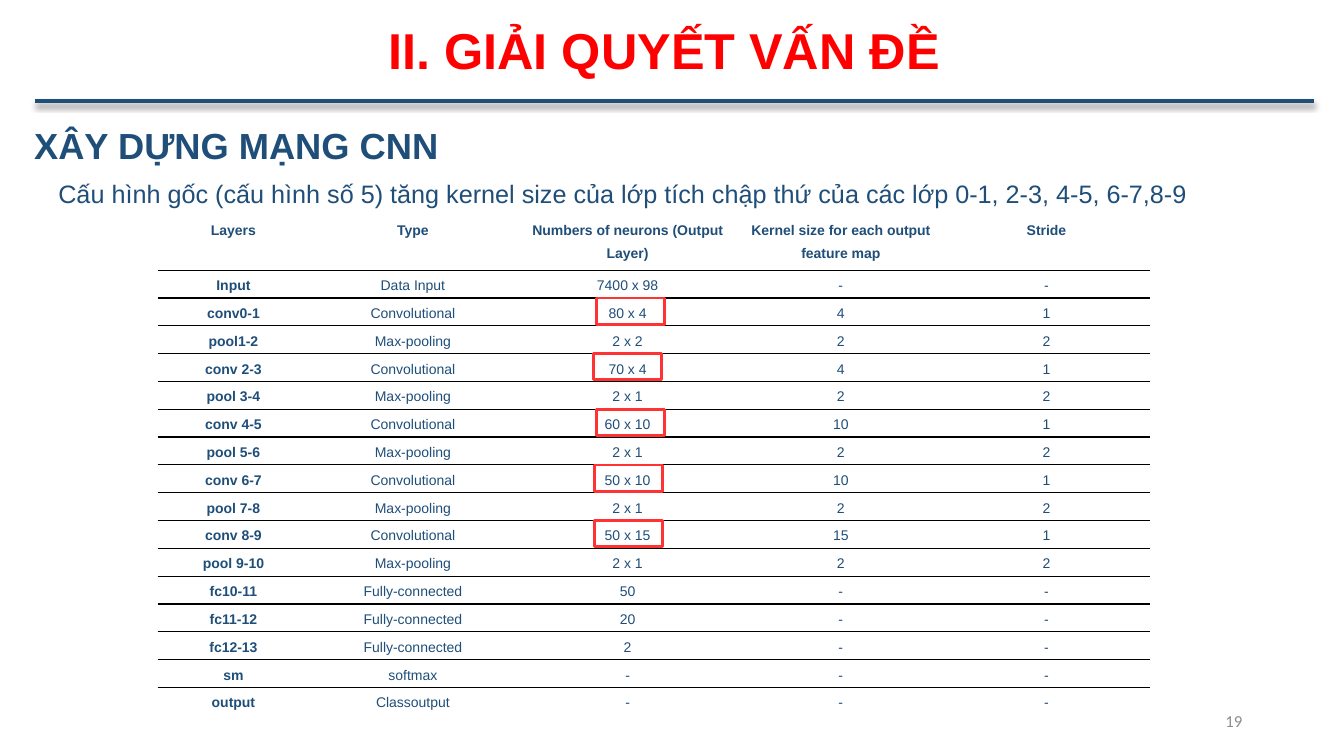
import pptx
import pptx.dml.color
import pptx.enum.shapes
import pptx.enum.text
import pptx.oxml
import pptx.oxml.ns
import pptx.util

PX = 9144
NAVY, RED, BLACK, WHITE = "1F4E79", "FF0000", "000000", "FFFFFF"
ALIGN = pptx.enum.text.PP_ALIGN
ANCHOR = pptx.enum.text.MSO_ANCHOR

COLUMN_WIDTHS = [149, 207, 219, 204, 204]
HEADER_HEIGHT = 55
LAYERS = [
    ("Layers", "Type", "Numbers of neurons (Output Layer)",
     "Kernel size for each output feature map", "Stride"),
    ("Input", "Data Input", "7400 x 98", "-", "-"),
    ("conv0-1", "Convolutional", "80 x 4", "4", "1"),
    ("pool1-2", "Max-pooling", "2 x 2", "2", "2"),
    ("conv 2-3", "Convolutional", "70 x 4", "4", "1"),
    ("pool 3-4", "Max-pooling", "2 x 1", "2", "2"),
    ("conv 4-5", "Convolutional", "60 x 10", "10", "1"),
    ("pool 5-6", "Max-pooling", "2 x 1", "2", "2"),
    ("conv 6-7", "Convolutional", "50 x 10", "10", "1"),
    ("pool 7-8", "Max-pooling", "2 x 1", "2", "2"),
    ("conv 8-9", "Convolutional", "50 x 15", "15", "1"),
    ("pool 9-10", "Max-pooling", "2 x 1", "2", "2"),
    ("fc10-11", "Fully-connected", "50", "-", "-"),
    ("fc11-12", "Fully-connected", "20", "-", "-"),
    ("fc12-13", "Fully-connected", "2", "-", "-"),
    ("sm", "softmax", "-", "-", "-"),
    ("output", "Classoutput", "-", "-", "-"),
]
HIGHLIGHT_OFFSETS = {2: 435, 4: 432, 6: 435, 8: 433, 10: 433}


def px(length):
    """Turn px into EMU."""
    return pptx.util.Emu(round(length * PX))


def color(hex_code):
    """Turn a hex string into a colour."""
    return pptx.dml.color.RGBColor.from_string(hex_code)


def write(frame, text, size, hex_code=NAVY, bold=False, align=ALIGN.LEFT,
          spacing=1.0, before=0, font="Arial"):
    """Write one styled run into the first paragraph of a text frame."""
    frame.word_wrap = True
    paragraph = frame.paragraphs[0]
    paragraph.alignment = align
    paragraph.line_spacing = spacing
    paragraph.space_before = pptx.util.Pt(before)
    run = paragraph.add_run()
    run.text = text
    run.font.name = font
    run.font.size = pptx.util.Pt(size)
    run.font.bold = bold
    run.font.color.rgb = color(hex_code)


def add_text(slide, box, text, size, anchor=ANCHOR.TOP, **style):
    """Place a text box in the given box."""
    frame = slide.shapes.add_textbox(*map(px, box)).text_frame
    frame.vertical_anchor = anchor
    write(frame, text, size, **style)


def add_header(slide, box):
    """Place the title and the shadowed rule along the bottom of the box."""
    left, top, width, height = box
    add_text(slide, (left + 142, top + 20, 964, 65), "II. GIẢI QUYẾT VẤN ĐỀ", 36,
             anchor=ANCHOR.MIDDLE, hex_code=RED, bold=True,
             align=ALIGN.CENTER, spacing=0.9)
    bottom = top + height
    rule = slide.shapes.add_connector(
        pptx.enum.shapes.MSO_CONNECTOR.STRAIGHT,
        px(left), px(bottom), px(left + width), px(bottom))
    rule.line.color.rgb = color(NAVY)
    rule.line.width = pptx.util.Pt(3)
    rule._element.spPr.append(pptx.oxml.parse_xml(
        f'<a:effectLst {pptx.oxml.ns.nsdecls("a")}>'
        '<a:outerShdw blurRad="50800" dist="38100" dir="5400000" rotWithShape="0">'
        f'<a:srgbClr val="{BLACK}"><a:alpha val="40000"/></a:srgbClr>'
        '</a:outerShdw></a:effectLst>'))


def add_intro(slide, box):
    """Place the section heading and the sentence below it."""
    left, top, width, height = box
    add_text(slide, (left, top, 1150, 73), "XÂY DỰNG MẠNG CNN", 25.9,
             bold=True, spacing=1.4, before=10)
    add_text(slide, (left + 24, top + 72, width - 24, height - 72),
             "Cấu hình gốc (cấu hình số 5) tăng kernel size của lớp tích chập "
             "thứ của các lớp 0-1, 2-3, 4-5, 6-7,8-9", 18)


def set_borders(cell, sides):
    """Draw 1 pt borders on a cell from a map of side to colour."""
    properties = cell._tc.get_or_add_tcPr()
    for position, (side, hex_code) in enumerate(sides.items()):
        properties.insert(position, pptx.oxml.parse_xml(
            f'<a:ln{side} {pptx.oxml.ns.nsdecls("a")} w="12700"><a:solidFill>'
            f'<a:srgbClr val="{hex_code}"/></a:solidFill></a:ln{side}>'))


def add_layer_table(slide, box):
    """Place the layer table and frame its convolution sizes in red."""
    left, top, width, height = box
    last = len(LAYERS) - 1
    row_height = (height - HEADER_HEIGHT) / last
    table = slide.shapes.add_table(
        len(LAYERS), len(COLUMN_WIDTHS), *map(px, box)).table
    table.first_row = table.horz_banding = False
    for column, column_width in zip(table.columns, COLUMN_WIDTHS):
        column.width = px(column_width)
    for row, values in enumerate(LAYERS):
        table.rows[row].height = px(row_height if row else HEADER_HEIGHT)
        sides = {"L": WHITE, "R": WHITE}
        if row > 0:
            sides["T"] = BLACK
        if row < last:
            sides["B"] = BLACK
        for column, value in enumerate(values):
            cell = table.cell(row, column)
            cell.margin_left = cell.margin_right = px(7)
            cell.margin_top = cell.margin_bottom = 0
            cell.fill.background()
            set_borders(cell, sides)
            write(cell.text_frame, value, 10, bold=row == 0 or column == 0,
                  align=ALIGN.CENTER, spacing=1.5)
    for row, offset in HIGHLIGHT_OFFSETS.items():
        row_top = top + HEADER_HEIGHT + (row - 1) * row_height
        highlight = slide.shapes.add_shape(
            pptx.enum.shapes.MSO_SHAPE.RECTANGLE,
            px(left + offset), px(row_top), px(67), px(26))
        highlight.shadow.inherit = False
        highlight.fill.background()
        highlight.line.color.rgb = color("FF3333")
        highlight.line.width = pptx.util.Pt(2)


def main():
    """Build the slide and save it."""
    deck = pptx.Presentation()
    deck.slide_width, deck.slide_height = px(1333), px(750)
    slide = deck.slides.add_slide(deck.slide_layouts[6])
    add_text(slide, (942, 695, 300, 40), "19", 12, anchor=ANCHOR.MIDDLE,
             hex_code="8C8C8C", align=ALIGN.RIGHT, font="Calibri")
    add_header(slide, (35, 0, 1268, 100))
    add_intro(slide, (24, 100, 1209, 112))
    add_layer_table(slide, (157, 213, 983, 497))
    deck.save("out.pptx")


if __name__ == "__main__":
    main()
